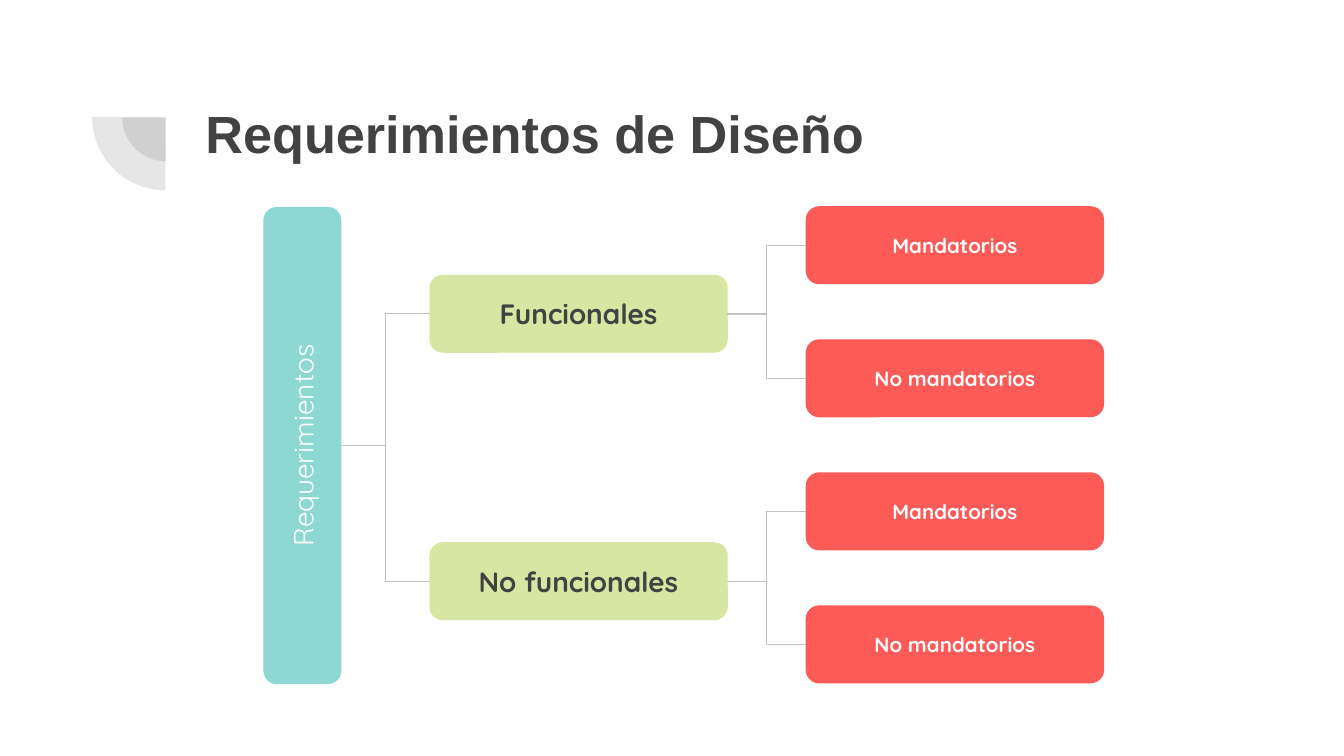
import dataclasses

import lxml.etree
import pptx
import pptx.dml.color
import pptx.enum.shapes
import pptx.enum.text
import pptx.oxml.ns
import pptx.util

SCALE = 4572  # EMU in one px, 200 px to the inch
KIND = pptx.enum.shapes.MSO_SHAPE
DARK, WHITE, GREY = "424242", "FFFFFF", "C2C2C2"
TEAL, GREEN, RED = "8DD8D3", "D7E6A3", "FD5B58"
WIDE, HIGH = 442, 114


@dataclasses.dataclass
class Node:
    text: str
    left: int
    top: int
    fill: str
    ink: str
    size: int
    bold: bool = True
    width: int = WIDE
    turn: int = 0


def px(count: int) -> pptx.util.Emu:
    return pptx.util.Emu(count * SCALE)


def color(code: str) -> pptx.dml.color.RGBColor:
    return pptx.dml.color.RGBColor.from_string(code)


def add_tag(parent, name: str, **attrs: str):
    return lxml.etree.SubElement(parent, pptx.oxml.ns.qn(name), **attrs)


def style(frame, text: str, font: str, size: int, ink: str, bold: bool) -> None:
    frame.text = text
    frame.word_wrap = True
    frame.margin_left = frame.margin_right = px(20)
    frame.margin_top = frame.margin_bottom = px(20)
    face = frame.paragraphs[0].runs[0].font
    face.name, face.size, face.bold = font, pptx.util.Pt(size), bold
    face.color.rgb = color(ink)


def add_pie(slide, left: int, top: int, side: int) -> None:
    """Draw a pale quarter disc."""
    pie = slide.shapes.add_shape(KIND.PIE, px(left), px(top), px(side), px(side))
    pie.adjustments[0], pie.adjustments[1] = 107.93, 162
    pie.rotation = 270
    pie.shadow.inherit = False
    pie.fill.solid()
    pie.fill.fore_color.rgb = color(DARK)
    tint = pie.fill._xPr.find(".//" + pptx.oxml.ns.qn("a:srgbClr"))
    add_tag(tint, "a:alpha", val="13000")
    pie.line.fill.background()


def add_node(slide, node: Node):
    box = slide.shapes.add_shape(
        KIND.ROUNDED_RECTANGLE, px(node.left), px(node.top), px(node.width), px(HIGH)
    )
    box.rotation = node.turn
    box.shadow.inherit = False
    box.fill.solid()
    box.fill.fore_color.rgb = color(node.fill)
    box.line.color.rgb = color(node.fill)
    box.line.width = pptx.util.Pt(0.75)
    style(box.text_frame, node.text, "Quicksand", node.size, node.ink, node.bold)
    box.text_frame.vertical_anchor = pptx.enum.text.MSO_ANCHOR.MIDDLE
    box.text_frame.paragraphs[0].alignment = pptx.enum.text.PP_ALIGN.CENTER
    return box


def link(slide, start, end) -> None:
    """Run an elbow from the right side of start to the left side of end."""
    half = start.height if start.rotation else start.width
    mid = start.left + start.width // 2
    wire = slide.shapes.add_connector(
        pptx.enum.shapes.MSO_CONNECTOR.ELBOW,
        mid + half // 2, start.top + start.height // 2,
        end.left, end.top + end.height // 2,
    )
    if not start.rotation:
        wire.begin_connect(start, 3)
    wire.end_connect(end, 1)
    wire.line.color.rgb = color(GREY)
    wire.line.width = pptx.util.Pt(0.75)
    add_tag(wire._element.spPr, "a:effectLst")


def main() -> None:
    deck = pptx.Presentation()
    deck.slide_width, deck.slide_height = px(2000), px(1125)
    slide = deck.slides.add_slide(deck.slide_layouts[6])

    add_pie(slide, 182, 110, 130)
    add_pie(slide, 137, 65, 218)
    title = slide.shapes.add_textbox(px(286), px(130), px(1538), px(218))
    style(title.text_frame, "Requerimientos de Diseño", "Arial", 28, DARK, True)

    root = add_node(
        slide, Node("Requerimientos", 96, 606, TEAL, WHITE, 15, False, 708, 270)
    )
    groups = [("Funcionales", 410), ("No funcionales", 808)]
    leaves = ["Mandatorios", "No mandatorios"]
    for row, (name, top) in enumerate(groups):
        group = add_node(slide, Node(name, 640, top, GREEN, DARK, 15))
        link(slide, root, group)
        for col, text in enumerate(leaves):
            place = 308 + 198 * (row * len(leaves) + col)
            leaf = add_node(slide, Node(text, 1200, place, RED, WHITE, 11))
            link(slide, group, leaf)

    deck.save("out.pptx")


if __name__ == "__main__":
    main()
